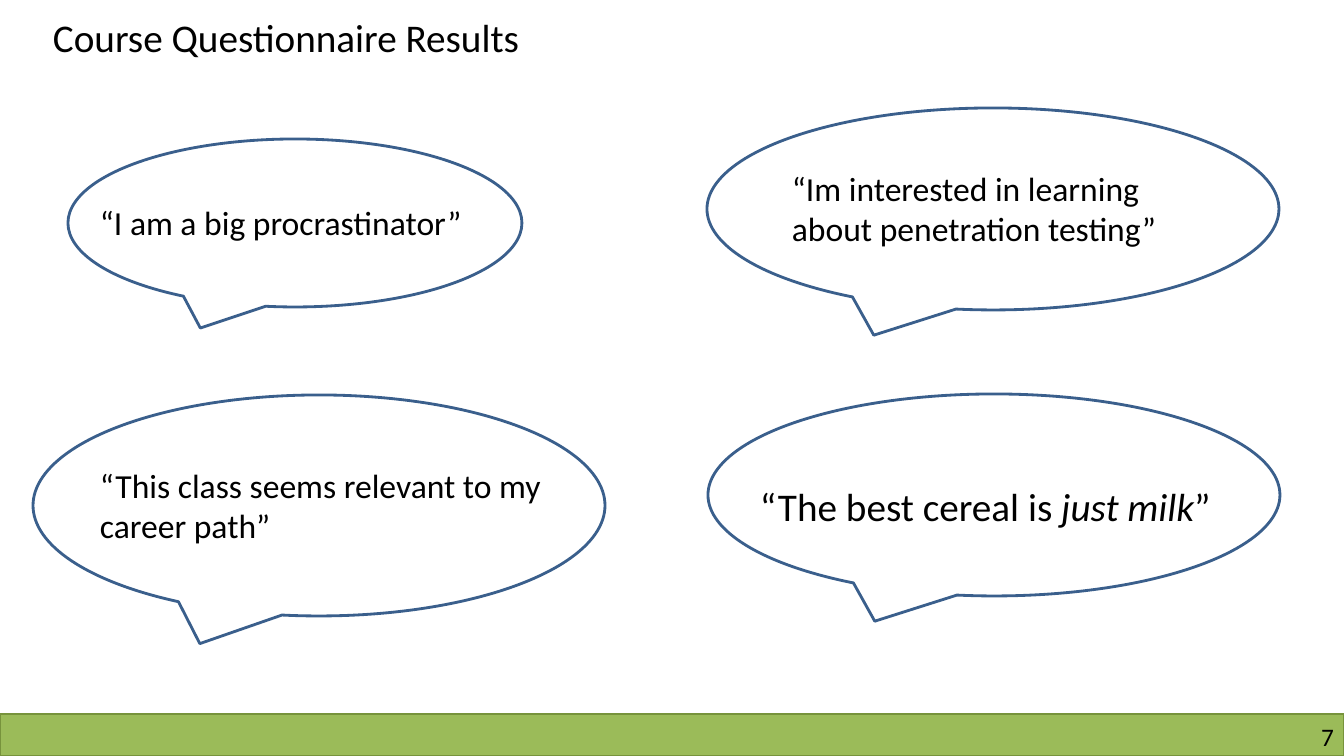
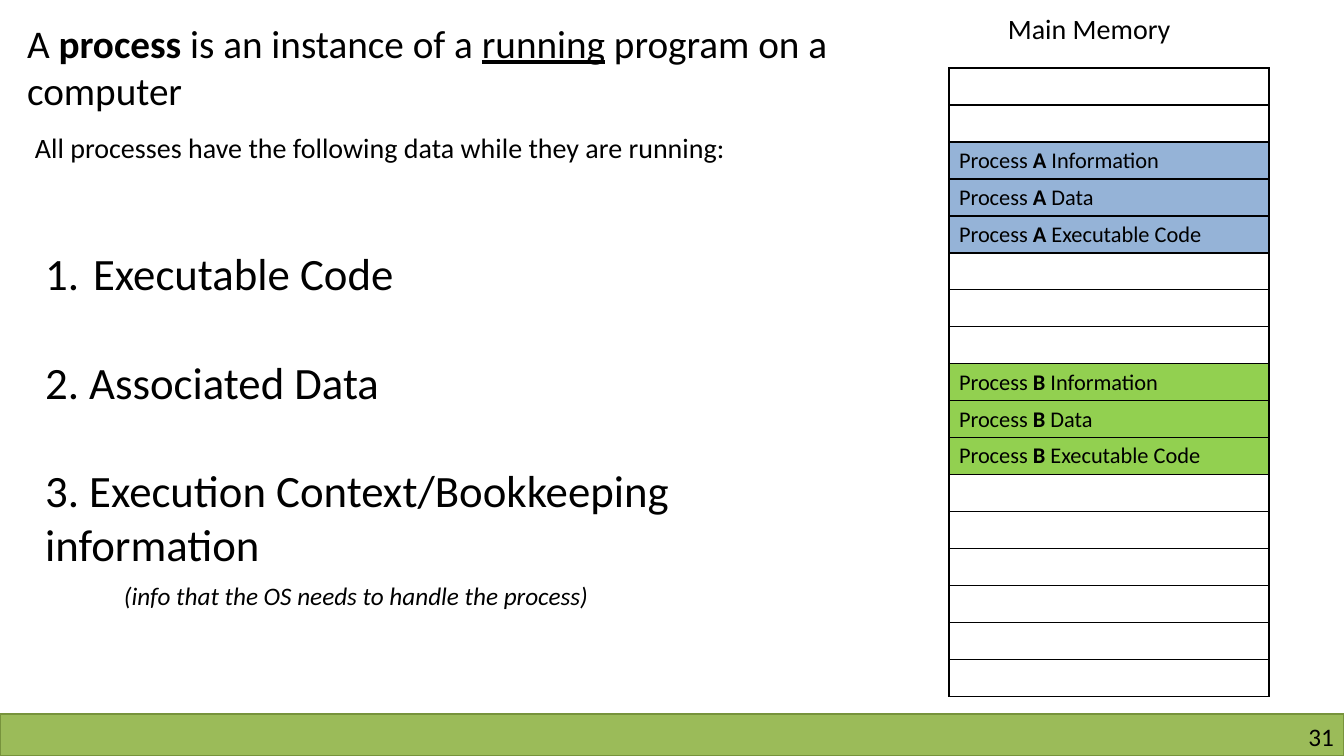
"""Build two course slides: questionnaire quotes and what a process holds in memory."""
import pptx
import pptx.util
import pptx.dml.color
import pptx.enum.shapes
import pptx.enum.text
import pptx.oxml
import pptx.oxml.ns

ALIGN = pptx.enum.text.PP_ALIGN
ANCHOR = pptx.enum.text.MSO_ANCHOR
SHAPE = pptx.enum.shapes.MSO_SHAPE

FONT = "Calibri"
COLORS = {
    "text": "000000",
    "paper": "FFFFFF",
    "band": "9BBB59",
    "band_edge": "77933C",
    "bubble_edge": "3A5F8C",
    "process_a": "95B3D7",
    "process_b": "92D050",
}
SLIDE_WIDTH, SLIDE_HEIGHT, BAND_HEIGHT = 1344, 756, 42
TITLE_SIZE = 28

QUESTIONNAIRE = {
    "title": [("Course Questionnaire Results", None)],
    "title_box": (0, 8, 572, 57),
    "number": "7",
    "quotes": [
        ((68, 139, 454, 168), (90, 197, 420, 50), 24,
         [("“I am a big procrastinator”", None)]),
        ((33, 395, 572, 221), (90, 460, 507, 92), 24,
         [("“This class seems relevant to my career path”", None)]),
        ((707, 108, 572, 202), (782, 163, 420, 92), 24,
         [("“Im interested in learning about penetration testing”", None)]),
        ((708, 394, 572, 202), (750, 477, 528, 57), 28,
         [("“The best cereal is ", None), ("just milk", "italic"), ("”", None)]),
    ],
}

PROCESS = {
    "title": [("A ", None), ("process", "bold"), (" is an instance of a ", None),
              ("running", "underline"), (" program on a computer", None)],
    "title_box": (17, 14, 882, 105),
    "number": "31",
    "parts": ["Executable Code", "2. Associated Data",
              "3. Execution Context/Bookkeeping information"],
    "parts_box": (35, 241, 764, 336),
    "captions": [
        ((25, 126, 777, 44), 20,
         [("All processes have the following data while they are running:", None)]),
        ((998, 7, 200, 44), 20, [("Main Memory", None)]),
        ((114, 575, 540, 40), 18,
         [("(info that the OS needs to handle the process)", "italic")]),
    ],
}

MEMORY_ROWS, MEMORY_ROW_HEIGHT = 17, 37
MEMORY_LEFT, MEMORY_TOP, MEMORY_WIDTH = 949, 68, 320
MEMORY_CONTENTS = ["Information", "Data", "Executable Code"]
MEMORY_BLOCKS = [("A", 2, "process_a"), ("B", 8, "process_b")]


def px(length):
    return pptx.util.Emu(round(length * 914400 / 100.8))


def rgb(name):
    return pptx.dml.color.RGBColor.from_string(COLORS[name])


def place(part, box):
    part.left, part.top, part.width, part.height = map(px, box)


def paint(part, fill, edge, weight):
    part.shadow.inherit = False
    part.fill.solid()
    part.fill.fore_color.rgb = rgb(fill)
    part.line.color.rgb = rgb(edge)
    part.line.width = pptx.util.Pt(weight)


def write(paragraph, pieces, size, align=ALIGN.LEFT):
    paragraph.alignment = align
    for words, emphasis in pieces:
        run = paragraph.add_run()
        run.text = words
        run.font.name = FONT
        run.font.size = pptx.util.Pt(size)
        run.font.color.rgb = rgb("text")
        if emphasis:
            setattr(run.font, emphasis, True)


def add_text(slide, box, pieces, size, align=ALIGN.LEFT):
    frame = slide.shapes.add_textbox(*map(px, box)).text_frame
    frame.word_wrap = True
    write(frame.paragraphs[0], pieces, size, align)
    return frame


def start_slide(deck, layout, content, title_align):
    slide = deck.slides.add_slide(deck.slide_layouts[layout])
    band = slide.shapes.add_shape(
        SHAPE.RECTANGLE,
        *map(px, (0, SLIDE_HEIGHT - BAND_HEIGHT, SLIDE_WIDTH, BAND_HEIGHT)))
    paint(band, "band", "band_edge", 1)
    number = add_text(slide, (1025, 721, 309, 30), [(content["number"], None)], 18, ALIGN.RIGHT)
    number.margin_left = number.margin_right = number.margin_top = number.margin_bottom = 0
    title = slide.shapes.title
    place(title, content["title_box"])
    title.text_frame.auto_size = pptx.enum.text.MSO_AUTO_SIZE.NONE
    title.text_frame.vertical_anchor = ANCHOR.TOP
    write(title.text_frame.paragraphs[0], content["title"], TITLE_SIZE, title_align)
    return slide


def build_questionnaire(deck):
    slide = start_slide(deck, 5, QUESTIONNAIRE, ALIGN.CENTER)
    for bubble_box, quote_box, size, pieces in QUESTIONNAIRE["quotes"]:
        bubble = slide.shapes.add_shape(SHAPE.OVAL_CALLOUT, *map(px, bubble_box))
        paint(bubble, "paper", "bubble_edge", 2)
        add_text(slide, quote_box, pieces, size)


def fill_parts(body):
    place(body, PROCESS["parts_box"])
    frame = body.text_frame
    frame.auto_size = pptx.enum.text.MSO_AUTO_SIZE.NONE
    for index, part in enumerate(PROCESS["parts"]):
        paragraph = frame.add_paragraph() if index else frame.paragraphs[0]
        paragraph.space_before = pptx.util.Pt(39 if index else 0)
        properties = paragraph._p.get_or_add_pPr()
        hang = 0 if index else px(48)
        properties.set("marL", str(hang))
        properties.set("indent", str(-hang))
        marker = pptx.oxml.ns.qn("a:buNone" if index else "a:buAutoNum")
        bullet = properties.makeelement(marker, {} if index else {"type": "arabicPeriod"})
        properties.append(bullet)
        write(paragraph, [(part, None)], 32)


def outline_cell(cell):
    properties = cell._tc.get_or_add_tcPr()
    for position, side in enumerate(("lnL", "lnR", "lnT", "lnB")):
        properties.insert(position, pptx.oxml.parse_xml(
            f'<a:{side} {pptx.oxml.ns.nsdecls("a")} w="12700"><a:solidFill>'
            f'<a:srgbClr val="{COLORS["text"]}"/></a:solidFill></a:{side}>'))


def add_memory(slide):
    occupied = {
        first + offset: (color, [("Process ", None), (name, "bold"), (f" {held}", None)])
        for name, first, color in MEMORY_BLOCKS
        for offset, held in enumerate(MEMORY_CONTENTS)
    }
    memory = slide.shapes.add_table(
        MEMORY_ROWS, 1,
        *map(px, (MEMORY_LEFT, MEMORY_TOP, MEMORY_WIDTH, MEMORY_ROWS * MEMORY_ROW_HEIGHT))).table
    memory.first_row = memory.horz_banding = False
    for index, row in enumerate(memory.rows):
        row.height = px(MEMORY_ROW_HEIGHT)
        color, pieces = occupied.get(index, ("paper", []))
        cell = row.cells[0]
        cell.margin_top = cell.margin_bottom = px(2)
        cell.vertical_anchor = ANCHOR.MIDDLE
        cell.fill.solid()
        cell.fill.fore_color.rgb = rgb(color)
        outline_cell(cell)
        write(cell.text_frame.paragraphs[0], pieces, 16)


def build_process(deck):
    slide = start_slide(deck, 1, PROCESS, ALIGN.LEFT)
    fill_parts(slide.placeholders[1])
    add_memory(slide)
    for box, size, pieces in PROCESS["captions"]:
        add_text(slide, box, pieces, size)


def main():
    deck = pptx.Presentation()
    deck.slide_width, deck.slide_height = px(SLIDE_WIDTH), px(SLIDE_HEIGHT)
    build_questionnaire(deck)
    build_process(deck)
    deck.save("out.pptx")


if __name__ == "__main__":
    main()
